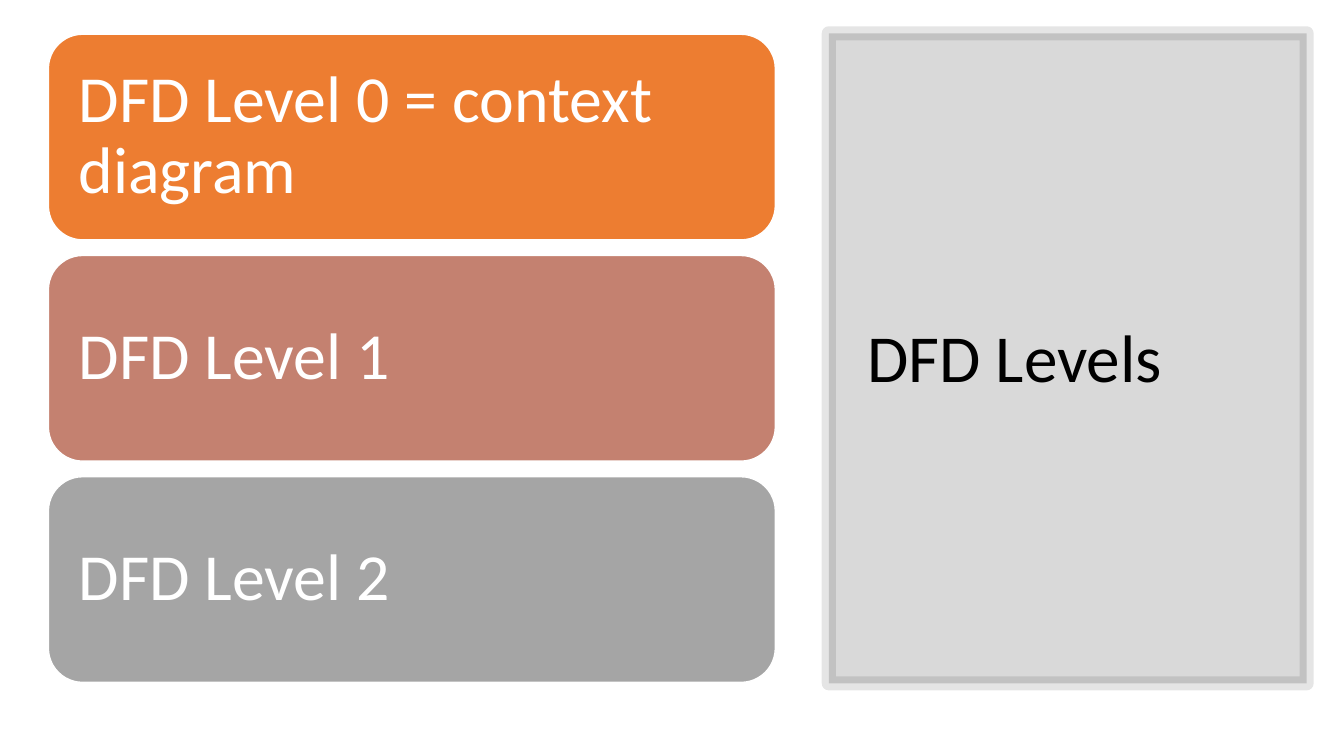
from dataclasses import dataclass

import pptx
import pptx.dml.color
import pptx.enum.shapes
import pptx.enum.text
import pptx.oxml
import pptx.oxml.ns
import pptx.util

Inches = pptx.util.Inches
Pt = pptx.util.Pt
SHAPES = pptx.enum.shapes.MSO_SHAPE


@dataclass(frozen=True)
class Theme:
    font: str = "Calibri"
    title_size: int = 48
    level_size: int = 47
    dark: str = "000000"
    light: str = "FFFFFF"
    panel_opacity: int = 15
    border_opacity: int = 10
    border_width: int = 10


THEME = Theme()
SLIDE_WIDTH, SLIDE_HEIGHT = 13.33, 7.5
LEVEL_LEFT, LEVEL_TOP = 0.48, 0.34
LEVEL_WIDTH, LEVEL_HEIGHT = 7.21, 2.04
LEVEL_PITCH = 2.195
LEVELS = [
    ("DFD Level 0 = context diagram", "ED7D31"),
    ("DFD Level 1", "C48170"),
    ("DFD Level 2", "A5A5A5"),
]


def rgb(color):
    return pptx.dml.color.RGBColor.from_string(color)


def set_opacity(fill, percent):
    """Make a solid fill, of a shape or a line, partly transparent."""
    color = fill._xPr.find(".//" + pptx.oxml.ns.qn("a:srgbClr"))
    color.append(pptx.oxml.parse_xml(
        f'<a:alpha {pptx.oxml.ns.nsdecls("a")} val="{percent * 1000}"/>'))


def add_box(slide, kind, box, fill, line, line_width):
    shape = slide.shapes.add_shape(kind, *map(Inches, box))
    shape.shadow.inherit = False
    shape.fill.solid()
    shape.fill.fore_color.rgb = rgb(fill)
    shape.line.color.rgb = rgb(line)
    shape.line.width = Pt(line_width)
    return shape


def write_text(shape, text, size, color, inset):
    frame = shape.text_frame
    frame.text = text
    frame.word_wrap = True
    frame.auto_size = pptx.enum.text.MSO_AUTO_SIZE.NONE
    frame.vertical_anchor = pptx.enum.text.MSO_ANCHOR.MIDDLE
    frame.margin_left = frame.margin_right = Inches(inset)
    frame.margin_top = frame.margin_bottom = Inches(inset / 2)
    paragraph = frame.paragraphs[0]
    paragraph.alignment = pptx.enum.text.PP_ALIGN.LEFT
    paragraph.line_spacing = 0.9
    paragraph.font.name = THEME.font
    paragraph.font.size = Pt(size)
    paragraph.font.color.rgb = rgb(color)


def add_title_panel(slide):
    panel = add_box(slide, SHAPES.RECTANGLE, (8.22, 0.33, 4.74, 6.45),
                    THEME.dark, THEME.dark, THEME.border_width)
    set_opacity(panel.fill, THEME.panel_opacity)
    set_opacity(panel.line.fill, THEME.border_opacity)


def place_title(slide, text):
    title = slide.shapes.title
    title.left, title.top, title.width, title.height = map(
        Inches, (8.5, 0.7, 4.16, 5.75))
    write_text(title, text, THEME.title_size, THEME.dark, 0.1)


def add_level(slide, row, text, color):
    box = (LEVEL_LEFT, LEVEL_TOP + row * LEVEL_PITCH, LEVEL_WIDTH, LEVEL_HEIGHT)
    level = add_box(slide, SHAPES.ROUNDED_RECTANGLE, box, color, THEME.light, 1)
    write_text(level, text, THEME.level_size, THEME.light, 0.2)


def main():
    presentation = pptx.Presentation()
    presentation.slide_width = Inches(SLIDE_WIDTH)
    presentation.slide_height = Inches(SLIDE_HEIGHT)
    title_only = presentation.slide_layouts.get_by_name("Title Only")
    slide = presentation.slides.add_slide(title_only)
    add_title_panel(slide)
    # The title stands in front of its panel.
    slide.shapes._spTree.append(slide.shapes.title._element)
    place_title(slide, "DFD Levels")
    for row, (text, color) in enumerate(LEVELS):
        add_level(slide, row, text, color)
    presentation.save("out.pptx")


if __name__ == "__main__":
    main()
